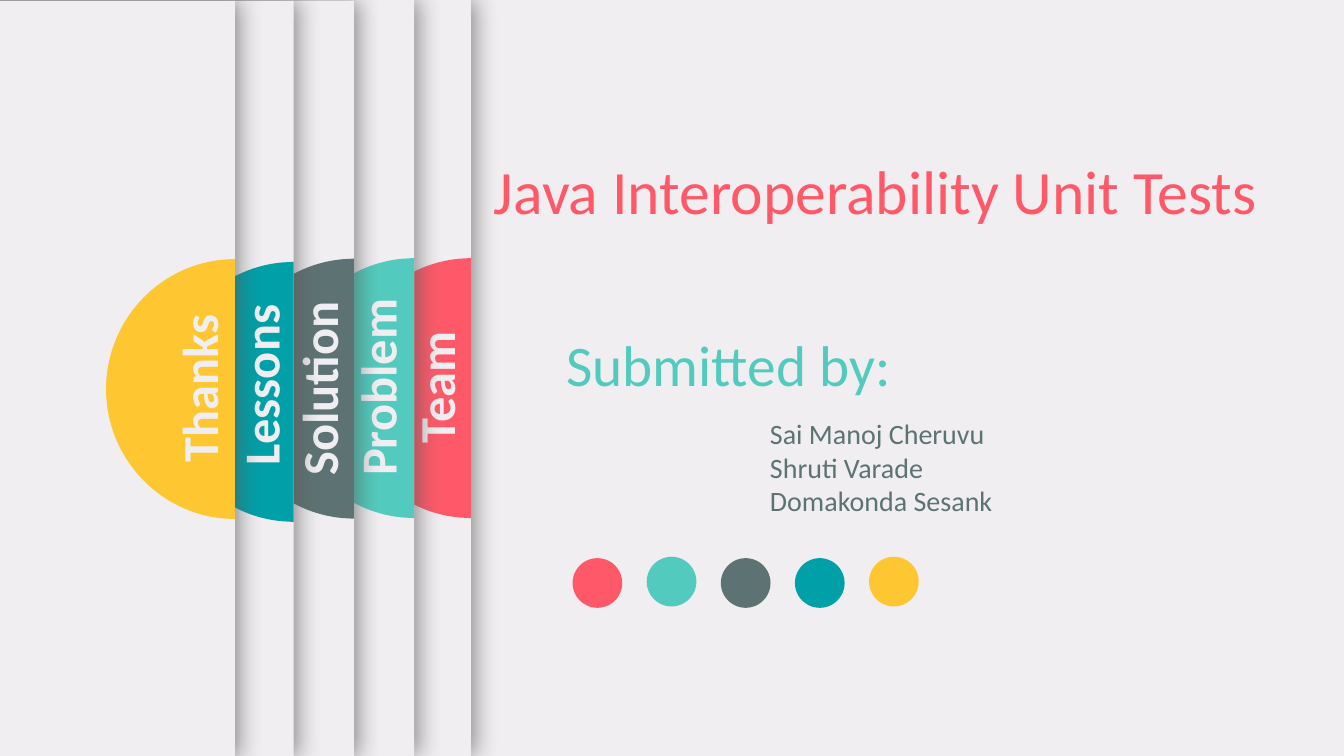
from dataclasses import dataclass

import lxml.etree
import pptx
import pptx.dml.color
import pptx.enum.shapes
import pptx.enum.text
import pptx.oxml.ns
import pptx.shapes.autoshape
import pptx.slide
import pptx.util

Pt = pptx.util.Pt
qn = pptx.oxml.ns.qn
Align = pptx.enum.text.PP_ALIGN
Shape = pptx.enum.shapes.MSO_SHAPE
Point = tuple[float, float]


@dataclass(frozen=True)
class Theme:
    font: str = "Calibri"
    paper: str = "F0EEF0"
    coral: str = "FF5969"
    mint: str = "52CBBE"
    slate: str = "5D7373"
    teal: str = "00A0A8"
    yellow: str = "FEC630"
    shadow: str = "595959"
    title_size: float = 44
    heading_size: float = 41
    tab_size: float = 36
    name_size: float = 20


@dataclass(frozen=True)
class Frame:
    left: float
    top: float
    width: float
    height: float


@dataclass(frozen=True)
class Tab:
    label: str
    color: str
    panel_left: float
    panel_top: float
    edge: float
    disc_middle: float
    label_left: float
    label_top: float
    dot_top: float


@dataclass(frozen=True)
class TextBlock:
    lines: tuple[str, ...]
    frame: Frame
    size: float
    color: str
    align: Align = Align.CENTER
    bold: bool = False
    rotation: float = 0


THEME = Theme()
SLIDE_WIDTH, SLIDE_HEIGHT = 960, 540
DISC_WIDTH, DISC_RADIUS = 92, 92.9
LABEL_WIDTH, LABEL_HEIGHT = 157, 51.1
DOT_LEFT, DOT_PITCH, DOT_SIZE = 409, 52.95, 35.5

TABS = (
    Tab("Team", THEME.coral, -646.6, 0, 336.4, 277.2, 232.6, 251.3, 398.7),
    Tab("Problem", THEME.mint, -488.2, 0, 295.9, 277.2, 190.8, 251.1, 397.7),
    Tab("Solution", THEME.slate, -501.1, 0.7, 252.8, 277.6, 149, 252, 398.7),
    Tab("Lessons", THEME.teal, -571.7, 0.7, 209.7, 279.9, 107.3, 249.7, 398.7),
    Tab("Thanks", THEME.yellow, -613.4, 0.7, 167.8, 277.9, 63.3, 252, 397.7),
)

TEXTS = (
    TextBlock(("Java Interoperability Unit Tests",), Frame(339.1, 105.4, 573.1, 60.5),
              THEME.title_size, THEME.coral),
    TextBlock(("Submitted by:",), Frame(394.4, 231.4, 252, 56.9),
              THEME.heading_size, THEME.mint),
    TextBlock(("Sai Manoj Cheruvu", "Shruti Varade", "Domakonda Sesank"),
              Frame(542.9, 294, 191.5, 79.9), THEME.name_size, THEME.slate, Align.LEFT),
)


def rgb(color: str) -> pptx.dml.color.RGBColor:
    return pptx.dml.color.RGBColor.from_string(color)


def paint(shape: pptx.shapes.autoshape.Shape, color: str) -> None:
    """Give the shape a flat fill with no outline and no shadow."""
    shape.fill.solid()
    shape.fill.fore_color.rgb = rgb(color)
    shape.line.fill.background()
    shape.shadow.inherit = False


def add_preset(page: pptx.slide.Slide, kind: Shape, frame: Frame,
               color: str) -> pptx.shapes.autoshape.Shape:
    shape = page.shapes.add_shape(
        kind, Pt(frame.left), Pt(frame.top), Pt(frame.width), Pt(frame.height))
    paint(shape, color)
    return shape


def cast_shadow(shape: pptx.shapes.autoshape.Shape) -> None:
    """Add a soft shadow to the right of the shape."""
    effects = shape._element.spPr.find(qn("a:effectLst"))
    outer = lxml.etree.SubElement(
        effects, qn("a:outerShdw"), blurRad=str(Pt(17)), dist=str(Pt(3)),
        dir="0", algn="l", rotWithShape="0")
    tint = lxml.etree.SubElement(outer, qn("a:srgbClr"), val=THEME.shadow)
    lxml.etree.SubElement(tint, qn("a:alpha"), val="65000")


def add_text(page: pptx.slide.Slide, block: TextBlock) -> None:
    frame = block.frame
    box = page.shapes.add_textbox(
        Pt(frame.left), Pt(frame.top), Pt(frame.width), Pt(frame.height))
    box.rotation = block.rotation
    box.text_frame.word_wrap = True
    box.text_frame.auto_size = pptx.enum.text.MSO_AUTO_SIZE.SHAPE_TO_FIT_TEXT
    box.text_frame.text = "\n".join(block.lines)
    for paragraph in box.text_frame.paragraphs:
        paragraph.alignment = block.align
        paragraph.font.name = THEME.font
        paragraph.font.size = Pt(block.size)
        paragraph.font.bold = block.bold
        paragraph.font.color.rgb = rgb(block.color)


def bend(segment: lxml.etree._Element, controls: tuple[Point, Point]) -> None:
    """Turn a straight segment into a cubic curve with the same end."""
    segment.tag = qn("a:cubicBezTo")
    for index, (x, y) in enumerate(controls):
        segment.insert(index, lxml.etree.Element(
            qn("a:pt"), x=str(Pt(x)), y=str(Pt(y))))


def add_half_disc(page: pptx.slide.Slide, tab: Tab) -> None:
    """Draw the left half of a disc, flat against the tab's edge."""
    left, top = tab.edge - DISC_WIDTH, tab.disc_middle - DISC_RADIUS
    height = 2 * DISC_RADIUS
    shoulder = DISC_WIDTH - 8.4
    corners = ((DISC_WIDTH, height), (shoulder, height - 0.5),
               (0, DISC_RADIUS), (shoulder, 0.5))
    builder = page.shapes.build_freeform(Pt(tab.edge), Pt(top))
    builder.add_line_segments([(Pt(left + x), Pt(top + y)) for x, y in corners], close=True)
    shape = builder.convert_to_shape()
    lower, upper = list(shape._element.iter(qn("a:lnTo")))[2:4]
    bend(lower, ((36.6, height - 4.9), (0, DISC_RADIUS + 48)))
    bend(upper, ((0, DISC_RADIUS - 48), (36.6, 4.9)))
    paint(shape, tab.color)


def add_tab(page: pptx.slide.Slide, tab: Tab) -> None:
    panel = Frame(tab.panel_left, tab.panel_top, tab.edge - tab.panel_left, SLIDE_HEIGHT)
    cast_shadow(add_preset(page, Shape.RECTANGLE, panel, THEME.paper))
    add_half_disc(page, tab)
    label = Frame(tab.label_left, tab.label_top, LABEL_WIDTH, LABEL_HEIGHT)
    add_text(page, TextBlock((tab.label,), label, THEME.tab_size, THEME.paper,
                             bold=True, rotation=270))


def main() -> None:
    deck = pptx.Presentation()
    deck.slide_width, deck.slide_height = Pt(SLIDE_WIDTH), Pt(SLIDE_HEIGHT)
    page = deck.slides.add_slide(deck.slide_layouts[6])
    page.background.fill.solid()
    page.background.fill.fore_color.rgb = rgb(THEME.paper)

    for block in TEXTS:
        add_text(page, block)
    for index, tab in enumerate(TABS):
        dot = Frame(DOT_LEFT + index * DOT_PITCH, tab.dot_top, DOT_SIZE, DOT_SIZE)
        add_preset(page, Shape.OVAL, dot, tab.color)
    for tab in TABS:
        add_tab(page, tab)

    deck.save("out.pptx")


if __name__ == "__main__":
    main()
